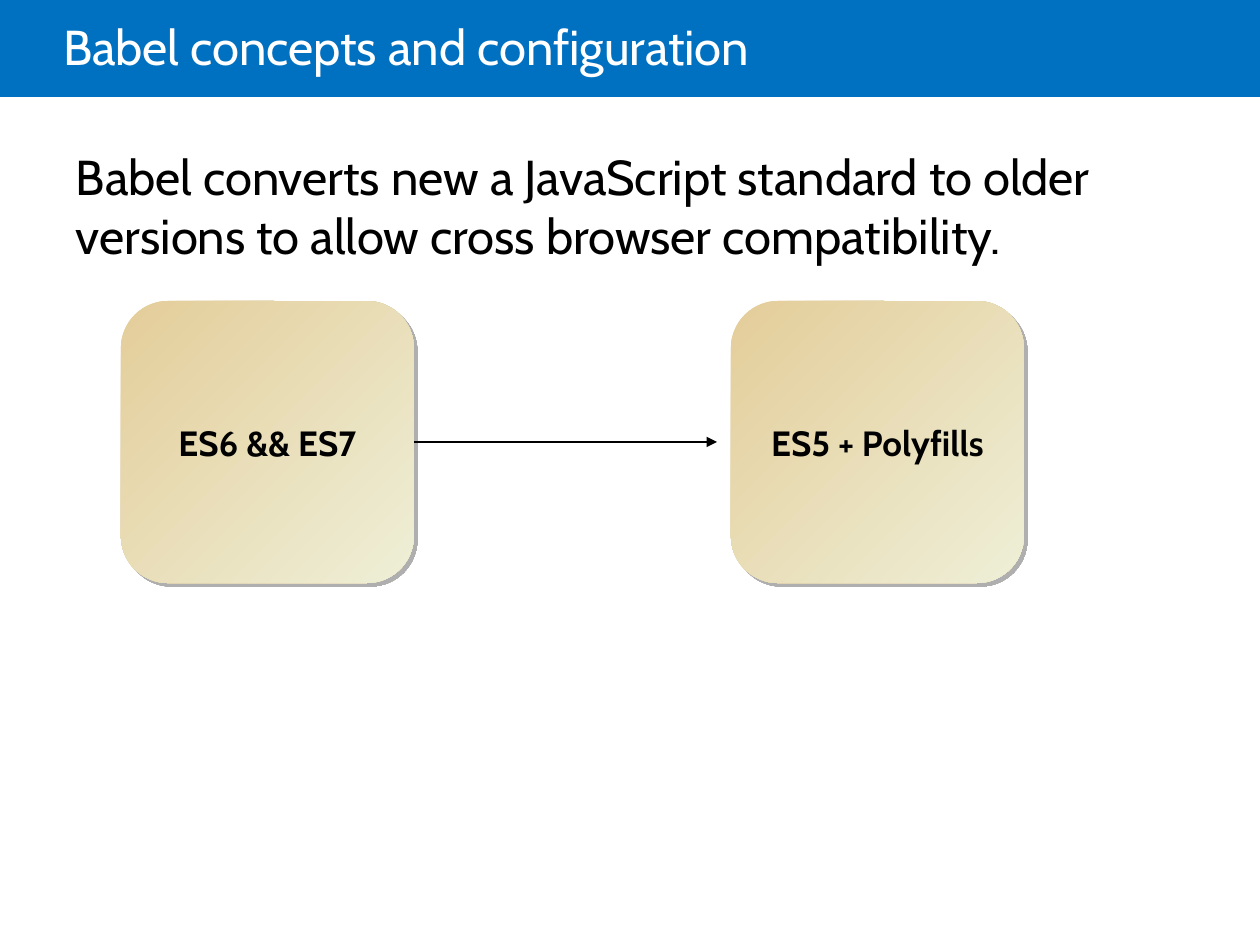
import pptx
import pptx.util
import pptx.dml.color
import pptx.enum.shapes
import pptx.enum.text
import pptx.oxml
import pptx.oxml.ns

HEAD = "Babel concepts and configuration"
BODY = ("Babel converts new a JavaScript standard to older versions "
        "to allow cross browser compatibility.")
STEPS = ["ES6 && ES7", "ES5 + Polyfills"]

THEME = {
    "font": "Cabin", "big": 28, "small": 20,
    "bar": "0070C0", "light": "FFFFFF", "dark": "000000",
    "fade": ["E4CD9A", "EEEFD7"], "shade": "AFAFAF",
}
PX = 914400 // 126
WIDE, HIGH = 1260, 945
LEFT, TOP, STEP = 121, 301, 610
BOX_W, BOX_H = 293, 282
TIP = 717

ALIGN = pptx.enum.text.PP_ALIGN
ANCHOR = pptx.enum.text.MSO_ANCHOR
KIND = pptx.enum.shapes.MSO_SHAPE


def px(*nums):
    return [pptx.util.Emu(num * PX) for num in nums]


def rgb(code):
    return pptx.dml.color.RGBColor.from_string(code)


def write(shape, text, size="big", color="dark", bold=False, align=ALIGN.LEFT,
          anchor=ANCHOR.TOP, pad=(13, 6, 13, 6), lead=None):
    frame = shape.text_frame
    frame.word_wrap = True
    frame.auto_size = pptx.enum.text.MSO_AUTO_SIZE.NONE
    frame.vertical_anchor = anchor
    (frame.margin_left, frame.margin_top,
     frame.margin_right, frame.margin_bottom) = px(*pad)
    para = frame.paragraphs[0]
    para.alignment = align
    if lead:
        para.line_spacing = lead
    run = para.add_run()
    run.text = text
    run.font.name = THEME["font"]
    run.font.size = pptx.util.Pt(THEME[size])
    run.font.bold = bold
    run.font.color.rgb = rgb(THEME[color])


def add_xml(node, tag, body=""):
    space = pptx.oxml.ns.nsdecls("a")
    node.append(pptx.oxml.parse_xml(f"<a:{tag} {space}>{body}</a:{tag.split()[0]}>"))


def add_box(slide, num, text):
    box = slide.shapes.add_shape(
        KIND.ROUNDED_RECTANGLE, *px(LEFT + num * STEP, TOP, BOX_W, BOX_H))
    box.fill.gradient()
    box.fill.gradient_angle = 315
    for pos, (stop, code) in enumerate(zip(box.fill.gradient_stops, THEME["fade"])):
        stop.position = pos
        stop.color.rgb = rgb(code)
    box.line.fill.background()
    add_xml(box._element.spPr, "effectLst",
            '<a:outerShdw blurRad="0" dist="35560" dir="2700000" algn="ctr" '
            f'rotWithShape="0"><a:srgbClr val="{THEME["shade"]}"/></a:outerShdw>')
    write(box, text, size="small", bold=True, align=ALIGN.CENTER,
          anchor=ANCHOR.MIDDLE, pad=(25, 6, 25, 6))
    return box


def add_arrow(slide, start):
    mid = TOP + BOX_H // 2
    arrow = slide.shapes.add_connector(
        pptx.enum.shapes.MSO_CONNECTOR.STRAIGHT, *px(LEFT + BOX_W, mid, TIP, mid))
    arrow.begin_connect(start, 3)
    arrow.line.color.rgb = rgb(THEME["dark"])
    arrow.line.width = pptx.util.Pt(0.75)
    add_xml(arrow.line._get_or_add_ln(), 'tailEnd type="triangle"')
    add_xml(arrow._element.spPr, "effectLst")


def main():
    deck = pptx.Presentation()
    deck.slide_width, deck.slide_height = px(WIDE, HIGH)
    slide = deck.slides.add_slide(deck.slide_layouts[5])

    bar = slide.shapes.add_shape(KIND.RECTANGLE, *px(0, 0, WIDE, 97))
    bar.fill.solid()
    bar.fill.fore_color.rgb = rgb(THEME["bar"])
    bar.line.fill.background()
    bar.shadow.inherit = False

    title = slide.shapes.title
    bar._element.addnext(title._element)
    title.left, title.top, title.width, title.height = px(63, 0, 1071, 102)
    write(title, HEAD, color="light", anchor=ANCHOR.MIDDLE,
          pad=(0, 6, 13, 6), lead=0.85)

    write(slide.shapes.add_textbox(*px(63, 141, 1119, 709)), BODY)

    boxes = [add_box(slide, num, text) for num, text in enumerate(STEPS)]
    add_arrow(slide, boxes[0])
    deck.save("out.pptx")


if __name__ == "__main__":
    main()
